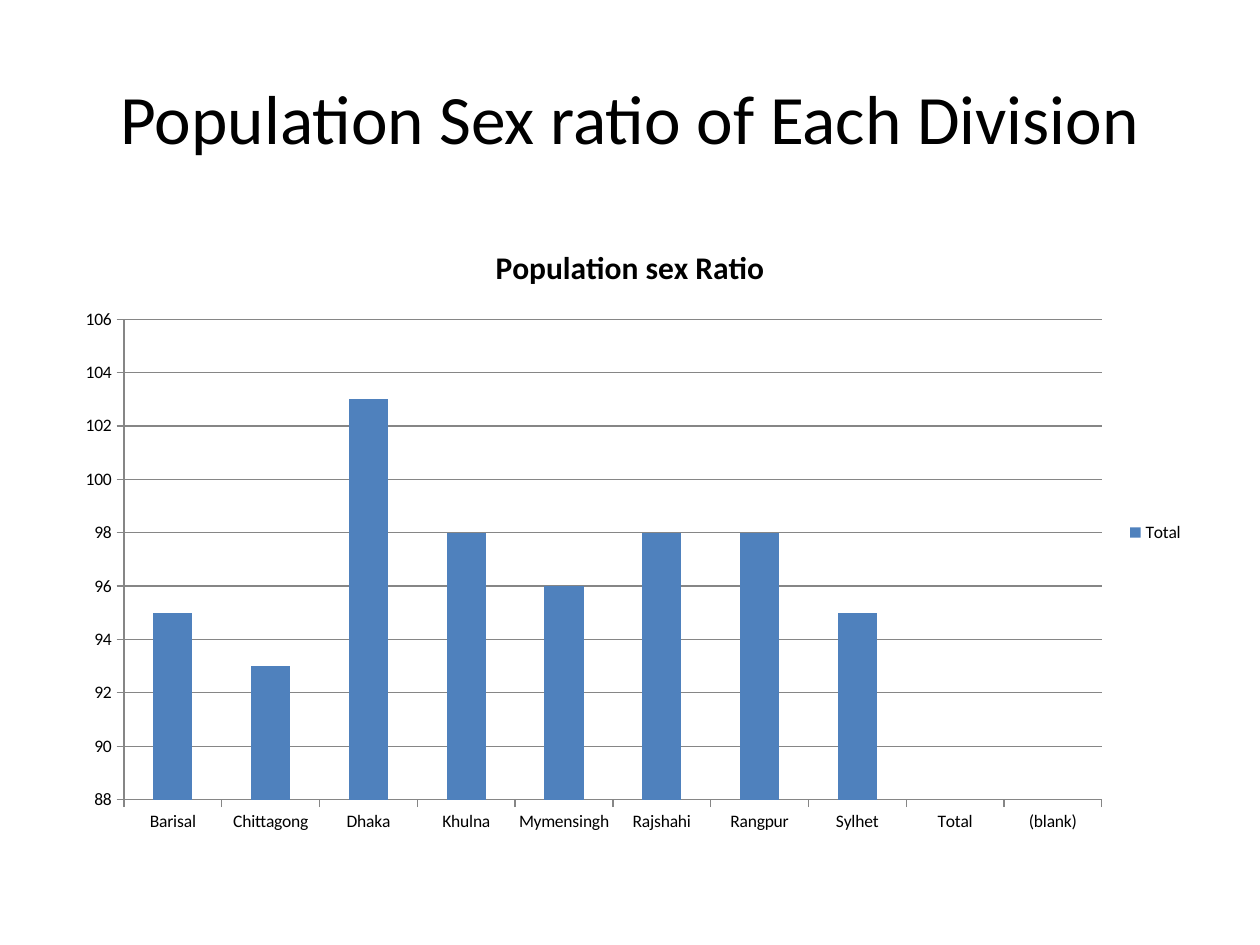
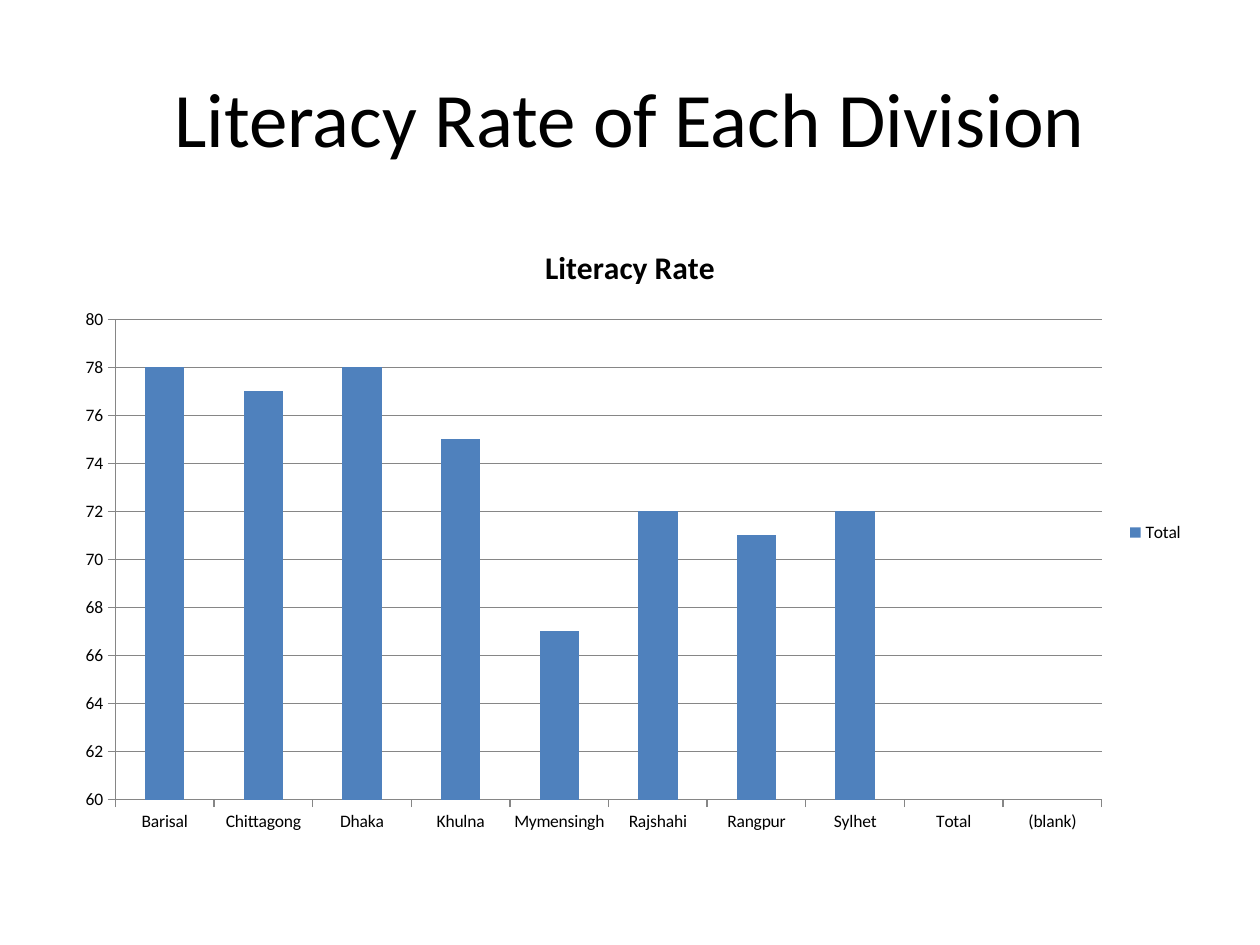
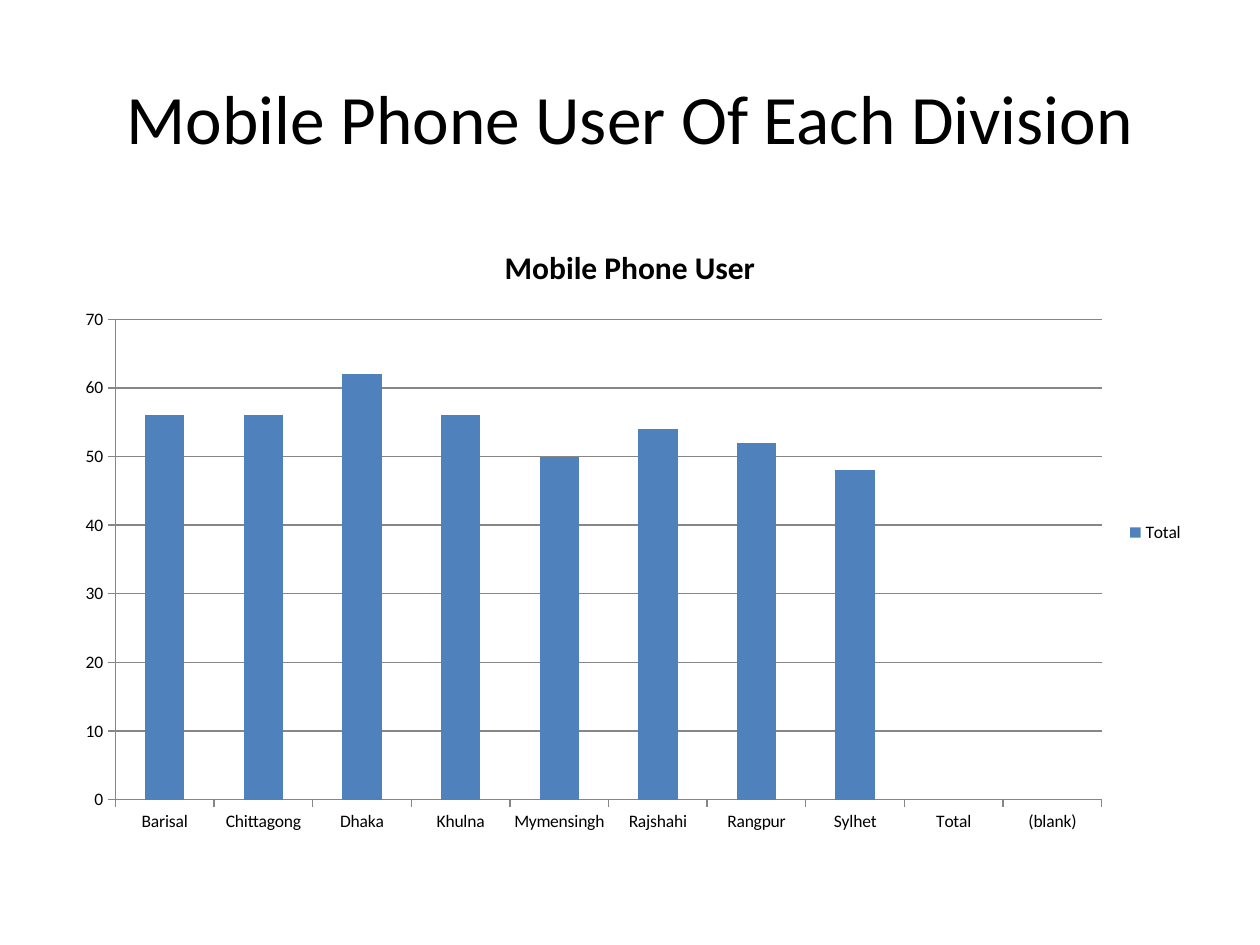
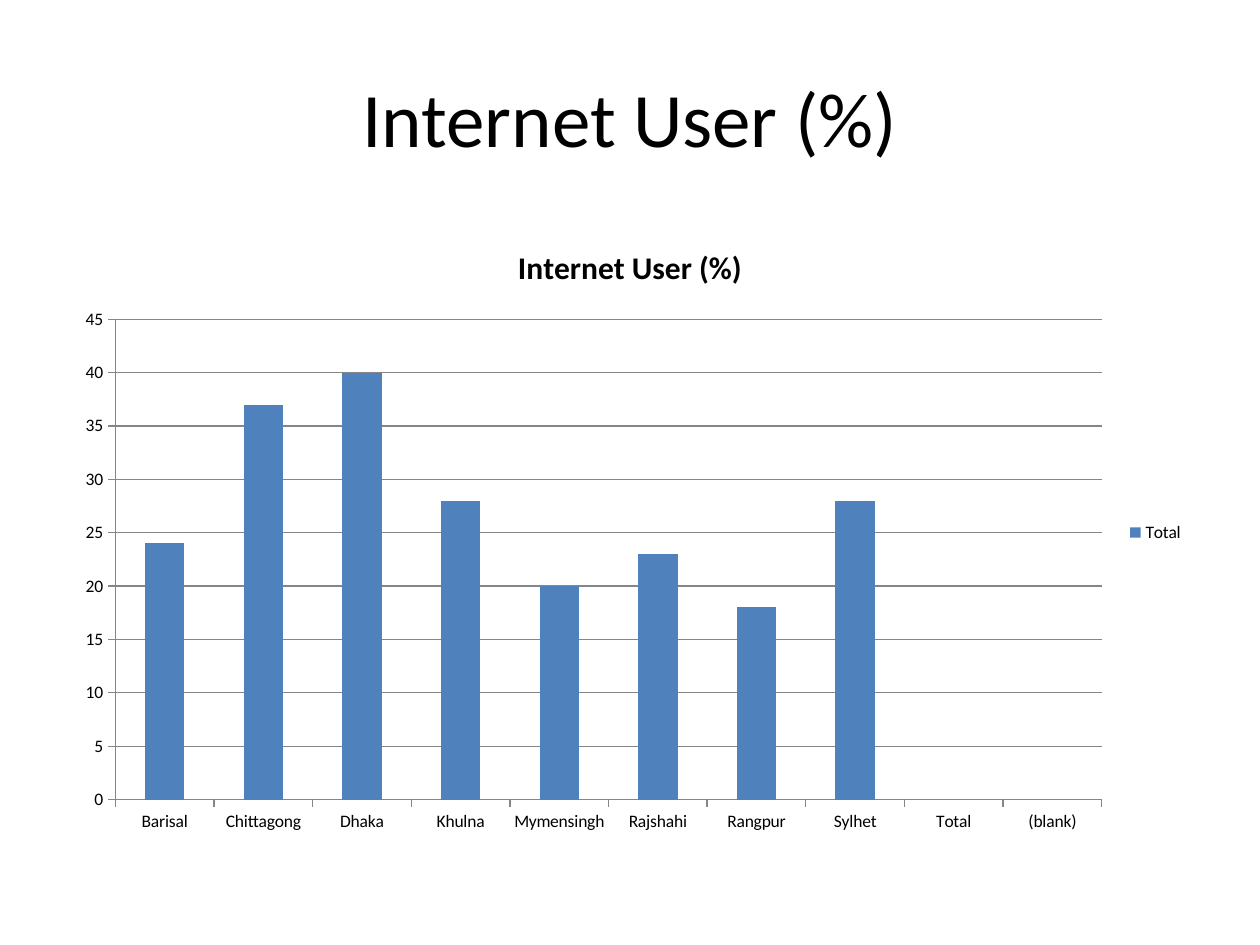
from pptx import Presentation
from pptx.chart.data import CategoryChartData
from pptx.dml.color import RGBColor
from pptx.enum.chart import XL_CHART_TYPE as ChartType
from pptx.enum.chart import XL_LEGEND_POSITION as LegendPosition
from pptx.enum.chart import XL_TICK_MARK as TickMark
from pptx.enum.text import MSO_ANCHOR as Anchor
from pptx.enum.text import MSO_AUTO_SIZE as AutoSize
from pptx.enum.text import PP_ALIGN as Align
from pptx.util import Cm, Pt

# Shared style
COLORS = {"text": "000000", "bar": "4F81BD", "line": "868686"}
FONT = "Calibri"
LEFT, WIDTH = Cm(1.27), Cm(22.86)
TITLE_TOP, TITLE_HEIGHT = Cm(0.76), Cm(3.18)
CHART_TOP, CHART_HEIGHT = Cm(4.45), Cm(12.57)

# Content: the last two categories carry no values
DIVISIONS = ["Barisal", "Chittagong", "Dhaka", "Khulna", "Mymensingh",
             "Rajshahi", "Rangpur", "Sylhet", "Total", "(blank)"]

# Heading, heading size, chart title, axis (minimum, maximum, step), values
INDICATORS = [
    ("Population Sex ratio of Each Division", 39.6, "Population sex Ratio",
     (88, 106, 2), [95, 93, 103, 98, 96, 98, 98, 95, None, None]),
    ("Literacy Rate of Each Division", 44, "Literacy Rate",
     (60, 80, 2), [78, 77, 78, 75, 67, 72, 71, 72, None, None]),
    ("Mobile Phone User Of Each Division", 39.6, "Mobile Phone User",
     (0, 70, 10), [56, 56, 62, 56, 50, 54, 52, 48, None, None]),
    ("Internet User (%)", 44, "Internet User (%)",
     (0, 45, 5), [24, 37, 40, 28, 20, 23, 18, 28, None, None]),
]


def color(key):
    return RGBColor.from_string(COLORS[key])


def style_font(font, size, bold=False):
    font.name = FONT
    font.size = Pt(size)
    font.bold = bold
    font.color.rgb = color("text")


def style_line(line):
    line.color.rgb = color("line")
    line.width = Pt(0.75)


def add_heading(slide, text, size):
    heading = slide.shapes.title
    heading.left, heading.top = LEFT, TITLE_TOP
    heading.width, heading.height = WIDTH, TITLE_HEIGHT
    frame = heading.text_frame
    frame.text = text
    frame.auto_size = AutoSize.NONE
    frame.vertical_anchor = Anchor.MIDDLE
    paragraph = frame.paragraphs[0]
    paragraph.alignment = Align.CENTER
    style_font(paragraph.font, size)


def style_axes(chart, scale):
    values = chart.value_axis
    values.minimum_scale, values.maximum_scale, values.major_unit = scale
    values.has_major_gridlines = True
    style_line(values.major_gridlines.format.line)
    for axis in (chart.category_axis, values):
        axis.major_tick_mark = TickMark.OUTSIDE
        axis.minor_tick_mark = TickMark.NONE
        style_line(axis.format.line)


def add_division_chart(slide, title, scale, values):
    data = CategoryChartData(number_format="General")
    data.categories = DIVISIONS
    data.add_series("Total", values)
    chart = slide.shapes.add_chart(
        ChartType.COLUMN_CLUSTERED, LEFT, CHART_TOP, WIDTH, CHART_HEIGHT, data
    ).chart
    style_font(chart.font, 10)

    # Title and legend
    chart.has_title = True
    chart.chart_title.include_in_layout = False
    title_frame = chart.chart_title.text_frame
    title_frame.text = title
    style_font(title_frame.paragraphs[0].font, 18, bold=True)
    chart.has_legend = True
    chart.legend.position = LegendPosition.RIGHT
    chart.legend.include_in_layout = False

    # Columns
    plot = chart.plots[0]
    plot.gap_width = 150
    plot.vary_by_categories = False
    columns = plot.series[0]
    columns.invert_if_negative = False
    columns.format.fill.solid()
    columns.format.fill.fore_color.rgb = color("bar")
    style_axes(chart, scale)


def main():
    deck = Presentation()
    deck.slide_width, deck.slide_height = Cm(25.4), Cm(19.05)
    title_only = deck.slide_layouts.get_by_name("Title Only")
    for heading, size, chart_title, scale, values in INDICATORS:
        slide = deck.slides.add_slide(title_only)
        add_heading(slide, heading, size)
        add_division_chart(slide, chart_title, scale, values)
    deck.save("out.pptx")


if __name__ == "__main__":
    main()
